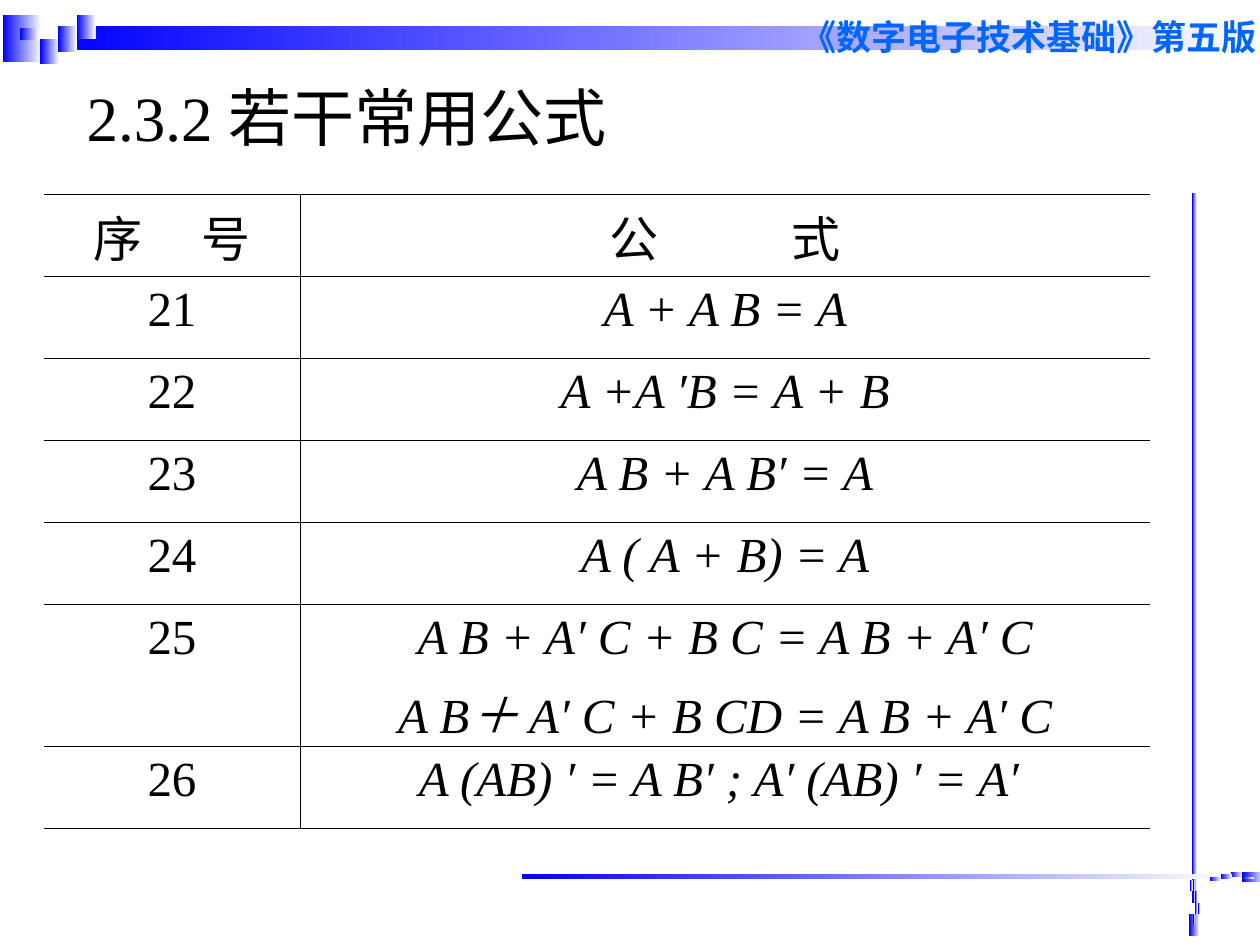
from dataclasses import dataclass

from lxml.etree import SubElement
from pptx import Presentation
from pptx.dml.color import RGBColor
from pptx.enum.shapes import MSO_SHAPE
from pptx.enum.text import MSO_ANCHOR, PP_ALIGN
from pptx.oxml.ns import qn
from pptx.util import Inches, Pt

HUES = {"ink": "000000", "blue": "0000FF", "head": "0066FF", "white": "FFFFFF"}
SERIF, SANS = "Times New Roman", "Arial"

# The slide is a grid of 1000 columns by 750 rows
WIDE, HIGH = Inches(10), Inches(7.5)
UNIT = WIDE // 1000


@dataclass
class Box:
    left: float
    top: float
    wide: float
    high: float

    def place(self) -> list[int]:
        return [round(n * UNIT) for n in (self.left, self.top, self.wide, self.high)]


@dataclass
class Group:
    turn: int
    bars: list[Box]
    size: tuple[int, int]
    spots: list[tuple[int, int]]

    def boxes(self) -> list[Box]:
        return self.bars + [Box(x, y, *self.size) for x, y in self.spots]


GROUPS = [
    # Top band
    Group(0, [Box(2, 12, 31, 37), Box(47, 21, 953, 19)], (15, 10),
          [(46, 21), (61, 12), (61, 21), (32, 31), (16, 22), (46, 31), (32, 41)]),
    # Right edge
    Group(270, [Box(939, 730, 18, 8), Box(666, 433, 564, 4)], (9, 2),
          [(943, 711), (941, 702), (943, 702), (945, 720),
           (943, 729), (945, 711), (947, 720)]),
    # Bottom edge
    Group(180, [Box(986, 692, 18, 8), Box(414, 694, 564, 4)], (9, 2),
          [(969, 696), (960, 697), (960, 696), (977, 694),
           (986, 696), (969, 694), (977, 692)]),
]

# Header words are pairs set apart by a wide gap, in points
HEADS = [("序", "号", 28), ("公", "式", 70)]
RULES = [
    ("21", ["A + A B = A"]),
    ("22", ["A +A ′B = A + B"]),
    ("23", ["A B + A B′ = A"]),
    ("24", ["A ( A + B) = A"]),
    ("25", ["A B + A′ C + B C = A B + A′ C", "A B＋ A′ C + B CD = A B + A′ C"]),
    ("26", ["A (AB) ′ = A B′ ; A′ (AB) ′ = A′ "]),
]
COLS = [203, 675]
ROW, TALL = 65, 113


def hue(name: str) -> RGBColor:
    return RGBColor.from_string(HUES[name])


def write(para, text: str, *, size=28, font=SERIF, color="ink",
          bold=False, slant=False, gap=0) -> None:
    run = para.add_run()
    run.text = text
    face = run.font
    face.size, face.name, face.bold, face.italic = Pt(size), font, bold, slant
    face.color.rgb = hue(color)
    if gap:
        run.font._element.set("spc", str(gap * 100))


def label(slide, box: Box, text: str, anchor=MSO_ANCHOR.TOP, **form) -> None:
    frame = slide.shapes.add_textbox(*box.place()).text_frame
    frame.word_wrap = True
    frame.vertical_anchor = anchor
    write(frame.paragraphs[0], text, **form)


def block(slide, box: Box, turn: int) -> None:
    shape = slide.shapes.add_shape(MSO_SHAPE.RECTANGLE, *box.place())
    shape.rotation = turn
    shape.shadow.inherit = False
    shape.line.fill.background()
    shape.fill.gradient()
    shape.fill.gradient_angle = 180
    for stop, name in zip(shape.fill.gradient_stops, ("white", "blue")):
        stop.color.rgb = hue(name)
    # The fade keeps its direction when the block is turned
    shape._element.spPr.find(qn("a:gradFill")).set("rotWithShape", "0")


def edges(cell, drawn: str) -> None:
    cell.fill.background()
    props = cell._tc.get_or_add_tcPr()
    for spot, side in enumerate("LRTB"):
        line = SubElement(props, qn(f"a:ln{side}"), w=str(Pt(0.45)))
        if side in drawn:
            fill = SubElement(line, qn("a:solidFill"))
            SubElement(fill, qn("a:srgbClr"), val=HUES["ink"])
        else:
            SubElement(line, qn("a:noFill"))
        props.insert(spot, line)


def line_up(para):
    para.alignment = PP_ALIGN.CENTER
    para.space_before = Pt(7)
    return para


def formulas(slide) -> None:
    rows = [ROW + (TALL - ROW) * (len(lines) - 1) for _, lines in RULES]
    box = Box(35, 154.5, sum(COLS), ROW + sum(rows))
    table = slide.shapes.add_table(len(rows) + 1, len(COLS), *box.place()).table
    table.first_row = table.horz_banding = False
    for col, wide in zip(table.columns, COLS):
        col.width = wide * UNIT
    for row, high in zip(table.rows, [ROW, *rows]):
        row.height = high * UNIT
        for cell, drawn in zip(row.cells, ("RTB", "LTB")):
            edges(cell, drawn)

    # Header row
    for cell, (first, last, gap) in zip(table.rows[0].cells, HEADS):
        para = line_up(cell.text_frame.paragraphs[0])
        write(para, first)
        write(para, " ", gap=gap)
        write(para, last)

    # Numbered rules
    for at, (number, lines) in enumerate(RULES, 1):
        write(line_up(table.cell(at, 0).text_frame.paragraphs[0]), number)
        frame = table.cell(at, 1).text_frame
        for spot, text in enumerate(lines):
            para = frame.add_paragraph() if spot else frame.paragraphs[0]
            write(line_up(para), text, slant=True)


def main() -> None:
    deck = Presentation()
    deck.slide_width, deck.slide_height = WIDE, HIGH
    slide = deck.slides.add_slide(deck.slide_layouts[6])
    for group in GROUPS:
        for box in group.boxes():
            block(slide, box, group.turn)
    label(slide, Box(626, 7, 406, 44), "《数字电子技术基础》第五版",
          size=20, font=SANS, color="head", bold=True)
    label(slide, Box(59, 44, 900, 97), "2.3.2 若干常用公式",
          anchor=MSO_ANCHOR.MIDDLE, size=36)
    formulas(slide)
    deck.save("out.pptx")


if __name__ == "__main__":
    main()
